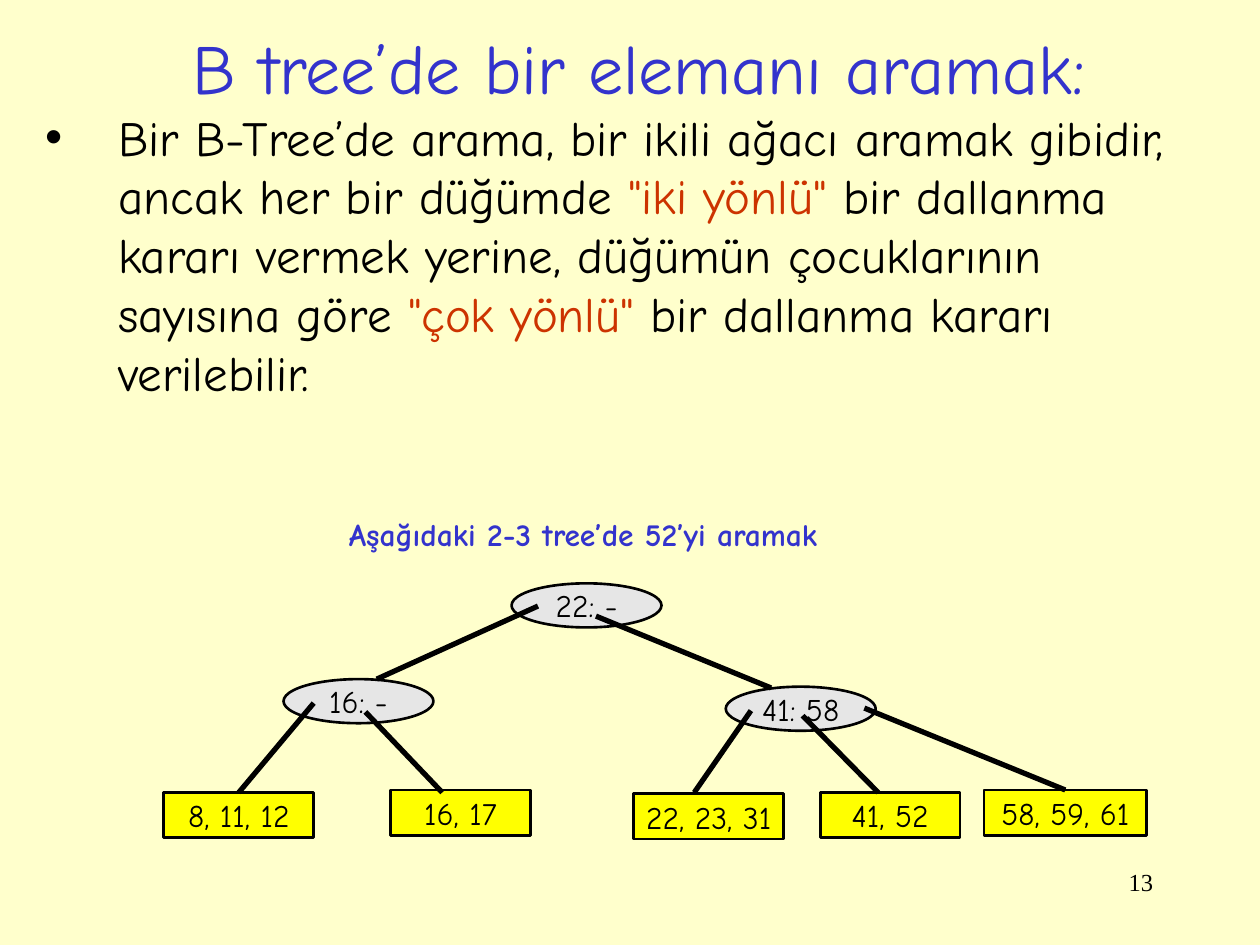
from dataclasses import dataclass

from lxml.etree import SubElement
from pptx import Presentation
from pptx.dml.color import RGBColor
from pptx.enum.shapes import MSO_CONNECTOR, MSO_SHAPE
from pptx.enum.text import MSO_ANCHOR, MSO_AUTO_SIZE, PP_ALIGN
from pptx.oxml.ns import qn
from pptx.util import Inches, Pt

CREAM = RGBColor(0xFF, 0xFF, 0xCC)
BLACK = RGBColor(0x00, 0x00, 0x00)
BLUE = RGBColor(0x33, 0x33, 0xCC)
RED = RGBColor(0xCC, 0x33, 0x00)
GRAY = RGBColor(0xE6, 0xE6, 0xE6)
YELLOW = RGBColor(0xFF, 0xFF, 0x00)

SLIDE_WIDTH, SLIDE_HEIGHT = Inches(10), Inches(7.5)
COLUMN = SLIDE_WIDTH / 100
ROW = SLIDE_HEIGHT / 75

HAND = "Comic Neue"
TITLE_FONT = {"name": HAND, "size": Pt(40)}
BODY_FONT = {"name": HAND, "size": Pt(28)}
CAPTION_FONT = {"name": HAND, "size": Pt(18), "bold": True}
NODE_FONT = {"name": HAND, "size": Pt(18)}
NUMBER_FONT = {"name": "Times New Roman", "size": Pt(14)}

BODY_RUNS = [
    ("Bir B-Tree’de arama, bir ikili ağacı aramak gibidir, ancak her bir düğümde ", BLACK),
    ('"iki yönlü" ', RED),
    ("bir dallanma kararı vermek yerine, düğümün çocuklarının sayısına göre ", BLACK),
    ('"çok yönlü" ', RED),
    ("bir dallanma kararı verilebilir.", BLACK),
]

# Tree items, in columns and rows from the corner of the tree's box
NODE_SIZE = (11.9, 3.5)
NODES = [("22: -", 27.6, 5.9), ("16: -", 9.5, 13.5), ("41: 58", 44.6, 14.1)]
LEAF_HEIGHT = 3.6
LEAVES = [  # text, left, top, width
    ("8, 11, 12", 0, 22.5, 11.9),
    ("16, 17", 18, 22.3, 11.1),
    ("22, 23, 31", 37.3, 22.6, 11.9),
    ("41, 52", 52.1, 22.5, 11.1),
    ("58, 59, 61", 65.1, 22.3, 12.9),
]
BRANCHES = [  # start, end, leaf joined at the middle of its top
    ((29.7, 7.7), (16.9, 13.5), None),
    ((34.3, 8.5), (48.2, 14.2), None),
    ((11.9, 15.4), (5.9, 22.5), "8, 11, 12"),
    ((16, 16.1), (22.1, 22.5), None),
    ((46.6, 16), (42.1, 22.5), None),
    ((50.7, 16.4), (56.7, 22.5), None),
    ((55.6, 15.8), (71.9, 22.3), "58, 59, 61"),
]


@dataclass
class Box:
    """An area of the slide, in columns and rows."""
    left: float
    top: float
    width: float
    height: float

    def inner(self, left, top, width, height):
        return Box(self.left + left, self.top + top, width, height)

    def point(self, column, row):
        return round((self.left + column) * COLUMN), round((self.top + row) * ROW)

    def place(self):
        return *self.point(0, 0), round(self.width * COLUMN), round(self.height * ROW)


def write(shape, runs, font, alignment=PP_ALIGN.LEFT, anchor=MSO_ANCHOR.TOP, wrap=True):
    """Fill a shape with one paragraph made of (text, colour) runs."""
    frame = shape.text_frame
    frame.word_wrap = wrap
    frame.vertical_anchor = anchor
    paragraph = frame.paragraphs[0]
    paragraph.alignment = alignment
    for text, color in runs:
        run = paragraph.add_run()
        run.text = text
        run.font.color.rgb = color
        for name, value in font.items():
            setattr(run.font, name, value)
    return paragraph


def add_title(slide, box):
    write(slide.shapes.add_textbox(*box.place()), [("B tree’de bir elemanı aramak:", BLUE)],
          TITLE_FONT, PP_ALIGN.CENTER, MSO_ANCHOR.MIDDLE)


def add_body(slide, box):
    paragraph = write(slide.shapes.add_textbox(*box.place()), BODY_RUNS, BODY_FONT)
    properties = paragraph._p.get_or_add_pPr()
    indent = round(5.8 * COLUMN)
    properties.set("marL", str(indent))
    properties.set("indent", str(-indent))
    bullet_color = SubElement(properties, qn("a:buClr"))
    SubElement(bullet_color, qn("a:srgbClr"), val=str(BLACK))
    SubElement(properties, qn("a:buFont"), typeface="Arial")
    SubElement(properties, qn("a:buChar"), char="•")


def add_page_number(slide, box):
    write(slide.shapes.add_textbox(*box.place()), [("13", BLACK)], NUMBER_FONT, PP_ALIGN.RIGHT)


def add_node(slide, box, preset, fill, text):
    shape = slide.shapes.add_shape(preset, *box.place())
    shape.shadow.inherit = False
    shape.fill.solid()
    shape.fill.fore_color.rgb = fill
    shape.line.color.rgb = BLACK
    shape.line.width = Pt(1.5)
    write(shape, [(text, BLACK)], NODE_FONT, PP_ALIGN.CENTER, MSO_ANCHOR.MIDDLE, wrap=False)
    return shape


def add_branch(slide, start, end, leaf):
    branch = slide.shapes.add_connector(MSO_CONNECTOR.STRAIGHT, *start, *end)
    branch.line.color.rgb = BLACK
    branch.line.width = Pt(3)
    SubElement(branch._element.spPr, qn("a:effectLst"))
    if leaf is not None:
        branch.end_connect(leaf, 0)


def add_tree(slide, box):
    caption = slide.shapes.add_textbox(*box.inner(13.7, 0, 39.3, 4).place())
    write(caption, [("Aşağıdaki 2-3 tree’de 52’yi aramak", BLUE)], CAPTION_FONT, wrap=False)
    caption.text_frame.auto_size = MSO_AUTO_SIZE.SHAPE_TO_FIT_TEXT

    for text, left, top in NODES:
        add_node(slide, box.inner(left, top, *NODE_SIZE), MSO_SHAPE.OVAL, GRAY, text)
    leaves = {
        text: add_node(slide, box.inner(left, top, width, LEAF_HEIGHT),
                       MSO_SHAPE.RECTANGLE, YELLOW, text)
        for text, left, top, width in LEAVES
    }
    for start, end, leaf in BRANCHES:
        add_branch(slide, box.point(*start), box.point(*end), leaves.get(leaf))


def main():
    presentation = Presentation()
    presentation.slide_width, presentation.slide_height = SLIDE_WIDTH, SLIDE_HEIGHT
    slide = presentation.slides.add_slide(presentation.slide_layouts[6])
    slide.background.fill.solid()
    slide.background.fill.fore_color.rgb = CREAM

    add_page_number(slide, Box(71.7, 68.3, 20.8, 5))
    add_title(slide, Box(3, 1.5, 95.4, 7.6))
    add_body(slide, Box(2.6, 8, 94.1, 27.1))
    add_tree(slide, Box(13, 40.4, 78, 26.2))
    presentation.save("out.pptx")


if __name__ == "__main__":
    main()
